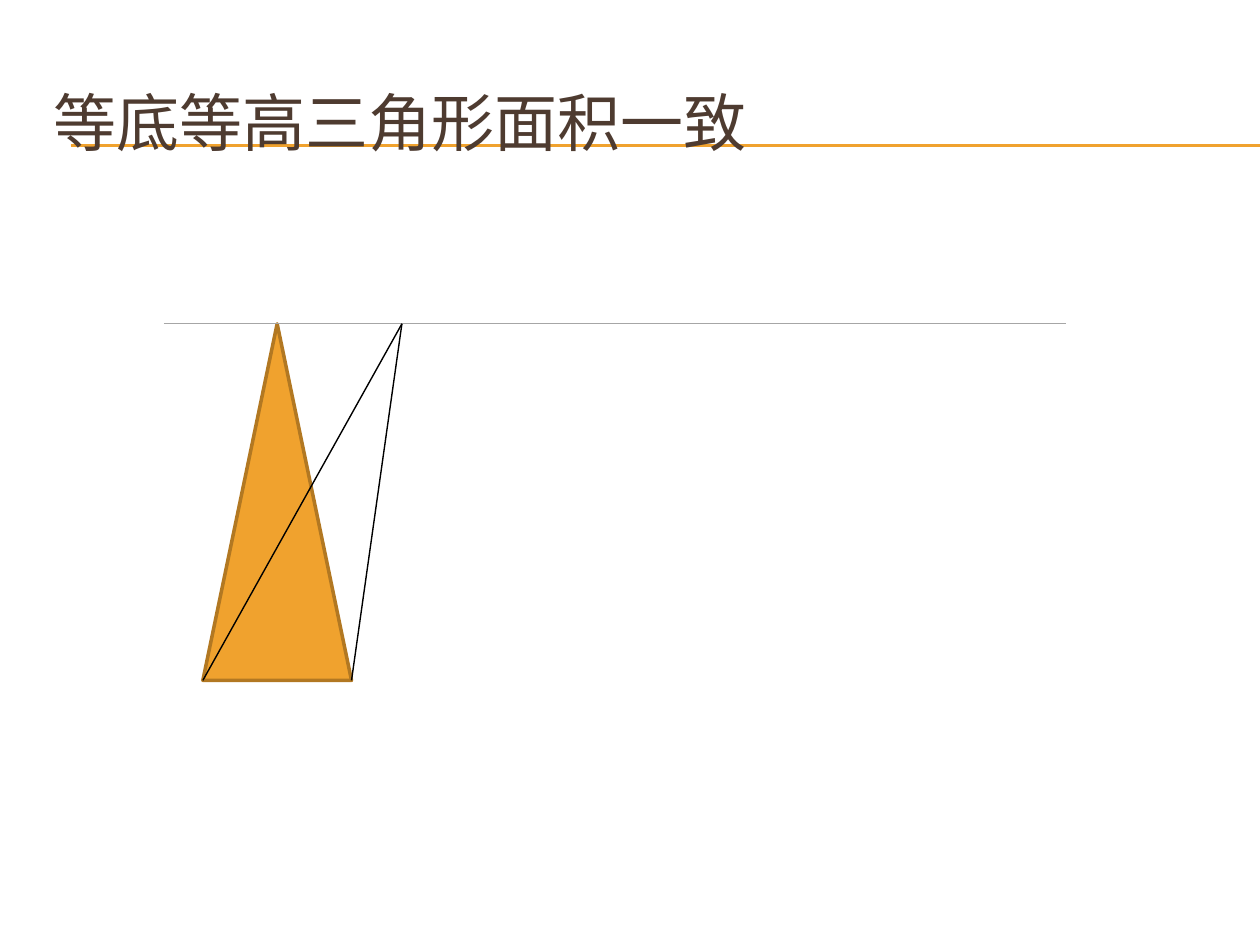
from pptx import Presentation
from pptx.dml.color import RGBColor
from pptx.enum import shapes, text
from pptx.oxml.ns import qn
from pptx.util import Inches, Pt
from lxml import etree

TITLE = "等底等高三角形面积一致"
THEME = {
    "font": "Lato", "title_size": 36, "title": "4E3B30",
    "accent": "F0A22E", "edge": "B27822", "ink": "000000", "guide": "A6A6A6",
}

LEFT, RIGHT, TOP, BASE = 1.61, 2.79, 2.57, 5.4
APEX = (3.19, TOP)
RULES = [((0.56, y), (10, y), "accent", 0.75) for y in (1.15, 1.16)]
CONSTRUCTION = [
    ((1.3, TOP), (8.46, TOP), "guide", 0.5),
    (APEX, (LEFT, BASE), "ink", 0.79),
    (APEX, (RIGHT, BASE), "ink", 0.79),
]


def color(name):
    return RGBColor.from_string(THEME[name])


def add_line(s, start, end, name, width):
    points = [Inches(v) for v in (*start, *end)]
    line = s.shapes.add_connector(shapes.MSO_CONNECTOR.STRAIGHT, *points)
    line.line.color.rgb = color(name)
    line.line.width = Pt(width)
    etree.SubElement(line._element.spPr, qn("a:effectLst"))


def add_triangle(s):
    box = [Inches(v) for v in (LEFT, TOP, RIGHT - LEFT, BASE - TOP)]
    sp = s.shapes.add_shape(shapes.MSO_SHAPE.ISOSCELES_TRIANGLE, *box)
    sp.shadow.inherit = False
    sp.fill.solid()
    sp.fill.fore_color.rgb = color("accent")
    sp.line.color.rgb = color("edge")
    sp.line.width = Pt(2)


def add_title(s):
    box = [Inches(v) for v in (0.33, 0.5, 9.5, 0.92)]
    tf = s.shapes.add_textbox(*box).text_frame
    tf.word_wrap = True
    tf.vertical_anchor = text.MSO_ANCHOR.MIDDLE
    tf.text = TITLE
    font = tf.paragraphs[0].runs[0].font
    font.name = THEME["font"]
    font.size = Pt(THEME["title_size"])
    font.color.rgb = color("title")


def main():
    prs = Presentation()
    prs.slide_width, prs.slide_height = Inches(10), Inches(7.5)
    s = prs.slides.add_slide(prs.slide_layouts[6])
    for rule in RULES:
        add_line(s, *rule)
    add_triangle(s)
    add_title(s)
    for line in CONSTRUCTION:
        add_line(s, *line)
    prs.save("out.pptx")


if __name__ == "__main__":
    main()
